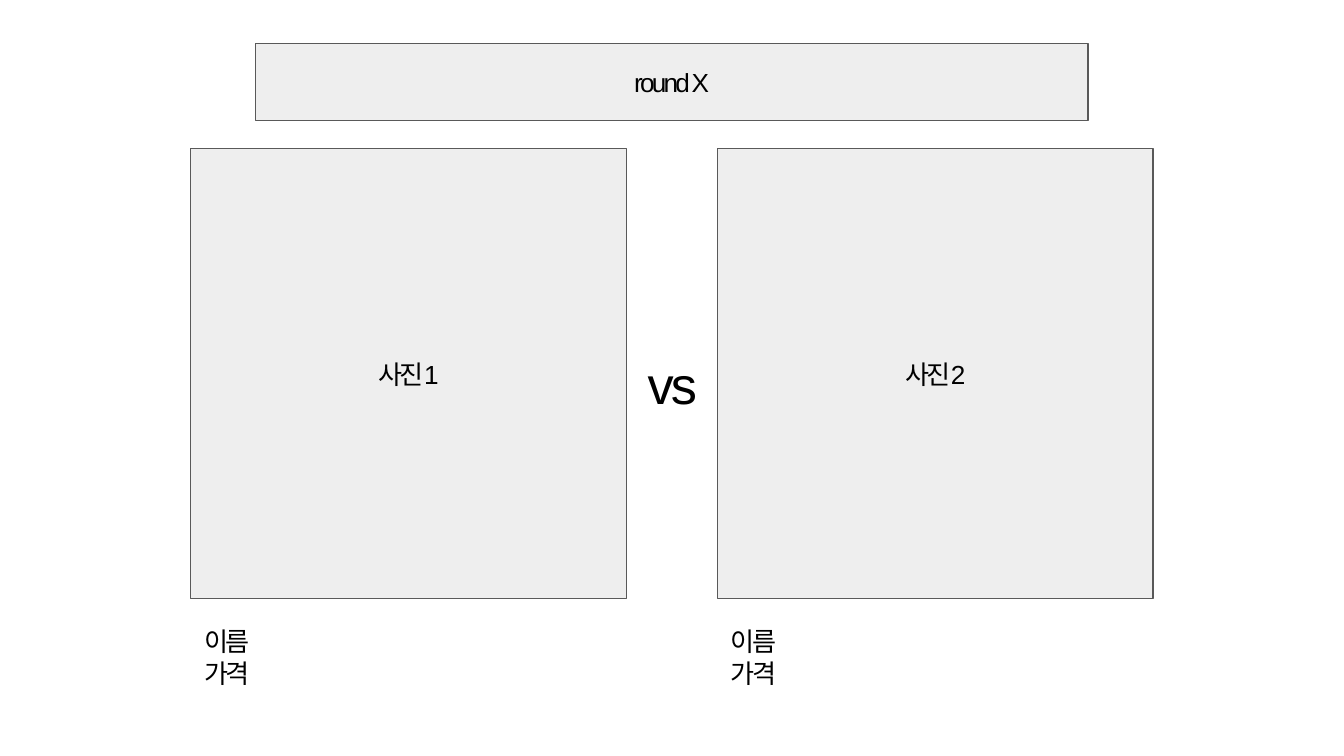
from dataclasses import dataclass

from lxml.etree import SubElement
from pptx import Presentation
from pptx.dml.color import RGBColor
from pptx.enum.shapes import MSO_SHAPE
from pptx.enum.text import MSO_ANCHOR, MSO_AUTO_SIZE, PP_ALIGN
from pptx.oxml.ns import qn
from pptx.util import Pt

SCALE = 4572


@dataclass(frozen=True)
class Theme:
    font: str = "Arial"
    ink: RGBColor = RGBColor(0, 0, 0)
    fill: RGBColor = RGBColor(0xEE, 0xEE, 0xEE)
    edge: RGBColor = RGBColor(0x59, 0x59, 0x59)
    body: int = 14
    large: int = 28
    line: float = 0.75
    track: int = -150


THEME = Theme()


def px(*sizes):
    return [size * SCALE for size in sizes]


def write(shape, text, size, align, anchor):
    frame = shape.text_frame
    frame.text = text
    frame.word_wrap = True
    frame.auto_size = MSO_AUTO_SIZE.NONE
    frame.vertical_anchor = anchor
    inset = 20 * SCALE
    frame.margin_left = frame.margin_right = inset
    frame.margin_top = frame.margin_bottom = inset
    for para in frame.paragraphs:
        para.alignment = align
        for run in para.runs:
            font = run.font
            font.name = THEME.font
            font.size = Pt(size)
            font.color.rgb = THEME.ink
            props = run._r.get_or_add_rPr()
            props.set("spc", str(THEME.track))
            SubElement(props, qn("a:ea")).set("typeface", THEME.font)


def paint(shape, text):
    shape.fill.solid()
    shape.fill.fore_color.rgb = THEME.fill
    shape.line.color.rgb = THEME.edge
    shape.line.width = Pt(THEME.line)
    write(shape, text, THEME.body, PP_ALIGN.CENTER, MSO_ANCHOR.MIDDLE)


def head(slide, text, *area):
    title = slide.shapes.title
    title.left, title.top, title.width, title.height = px(*area)
    paint(title, text)


def photo(shapes, text, *area):
    box = shapes.add_shape(MSO_SHAPE.RECTANGLE, *px(*area))
    box.shadow.inherit = False
    paint(box, text)


def label(shapes, text, size, *area):
    box = shapes.add_textbox(*px(*area))
    write(box, text, size, PP_ALIGN.LEFT, MSO_ANCHOR.TOP)


def main():
    deck = Presentation()
    deck.slide_width, deck.slide_height = px(2000, 1125)
    slide = deck.slides.add_slide(deck.slide_layouts[5])
    head(slide, "round X", 380, 65, 1239, 114)
    match = slide.shapes.add_group_shape().shapes
    for count, left in enumerate((284, 1068), 1):
        photo(match, f"사진{count}", left, 221, 648, 670)
        label(slide.shapes, "이름\n가격", THEME.body, left, 911, 638, 162)
    label(match, "vs", THEME.large, 944, 504, 120, 162)
    deck.save("out.pptx")


if __name__ == "__main__":
    main()
